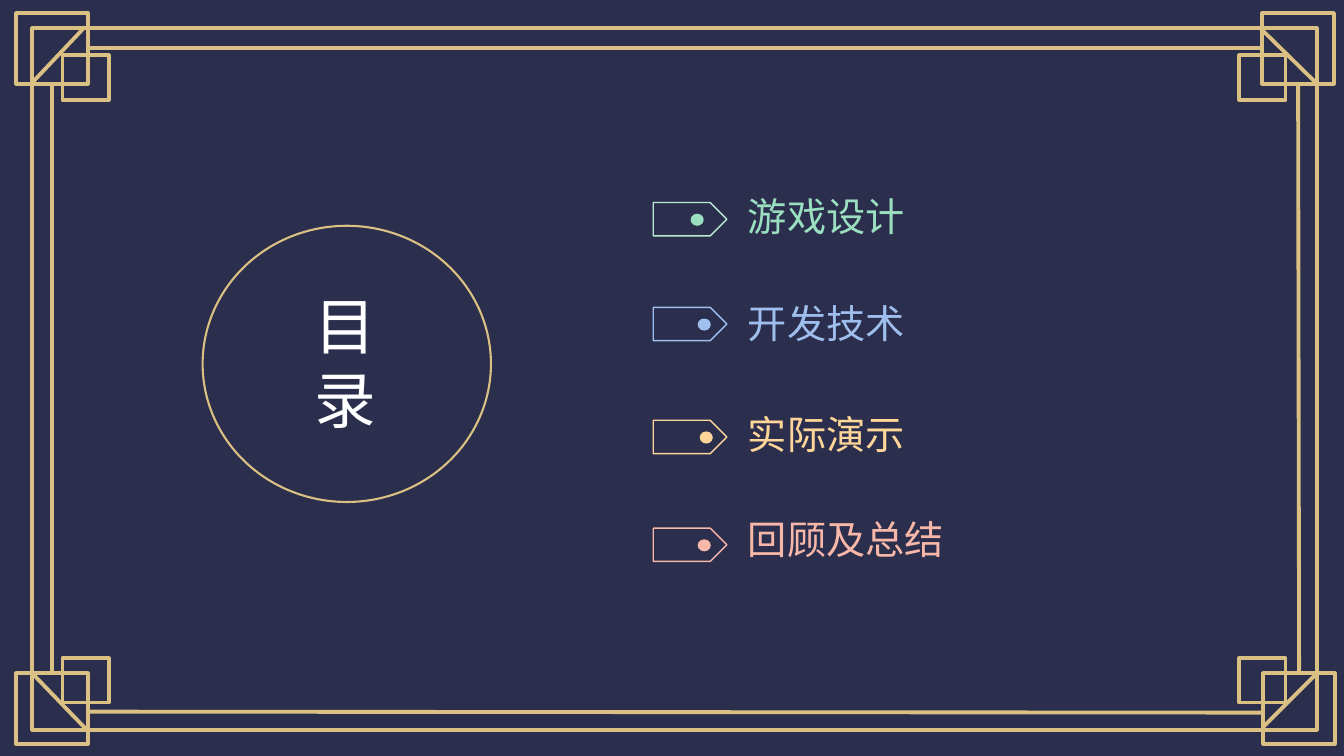
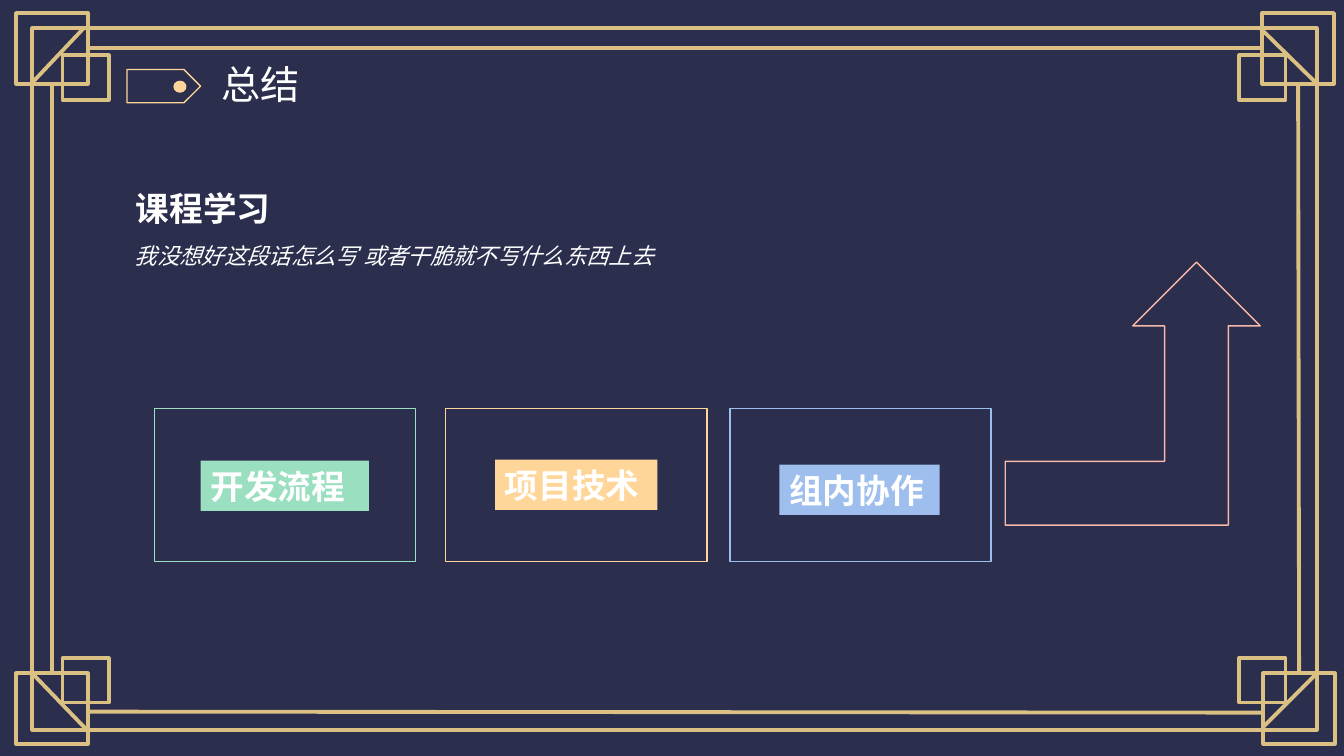
from lxml.etree import SubElement
from pptx import Presentation
from pptx.dml.color import RGBColor
from pptx.enum.shapes import MSO_CONNECTOR, MSO_SHAPE as SHAPE
from pptx.enum.text import MSO_ANCHOR, MSO_AUTO_SIZE as AUTO_SIZE, PP_ALIGN
from pptx.oxml.ns import qn
from pptx.util import Inches, Pt

COLORS = {
    "night": "2B2E4D",
    "gold": "DAC082",
    "white": "FFFFFF",
    "green": "9ADFBF",
    "mint": "BBEAD5",
    "blue": "9EBEED",
    "sky": "A0C0F0",
    "yellow": "FFD699",
    "coral": "F7B8A9",
}
LIGHT_FONT = "Noto Sans CJK JP"
BODY_FONT = "Noto Sans CJK SC"
CONTENTS_TITLE = {"name": LIGHT_FONT, "size": Pt(44), "bold": False}
HEADING = {"name": LIGHT_FONT, "size": Pt(28), "bold": False}
STRONG = {"name": BODY_FONT, "size": Pt(24), "bold": True}
REMARK = {"name": BODY_FONT, "size": Pt(16), "italic": True}
FRAME_WEIGHT = 2.75


def rgb(color):
    return RGBColor.from_string(COLORS[color])


def inches(values):
    return [Inches(value) for value in values]


def write(holder, text, style, color, auto_size=AUTO_SIZE.NONE):
    frame = holder.text_frame
    settings = {"word_wrap": True, "auto_size": auto_size,
                "vertical_anchor": MSO_ANCHOR.TOP}
    for key, value in settings.items():
        setattr(frame, key, value)
    paragraph = frame.paragraphs[0]
    paragraph.alignment = PP_ALIGN.LEFT
    run = paragraph.add_run()
    run.text = text
    for key, value in style.items():
        setattr(run.font, key, value)
    run.font.color.rgb = rgb(color)
    SubElement(run.font._element, qn("a:ea"), typeface=style["name"])


def add_text(slide, box, text, style, color):
    holder = slide.shapes.add_textbox(*inches(box))
    write(holder, text, style, color, AUTO_SIZE.SHAPE_TO_FIT_TEXT)


def set_title(slide, box, text, style):
    title = slide.shapes.title
    for key, value in zip(("left", "top", "width", "height"), inches(box)):
        setattr(title, key, value)
    write(title, text, style, "white")


def add_outline(slide, kind, box, color, weight=1):
    outline = slide.shapes.add_shape(kind, *inches(box))
    outline.shadow.inherit = False
    outline.fill.background()
    outline.line.color.rgb = rgb(color)
    outline.line.width = Pt(weight)
    return outline


def add_solid(slide, kind, box, color):
    solid = slide.shapes.add_shape(kind, *inches(box))
    solid.shadow.inherit = False
    solid.fill.solid()
    solid.fill.fore_color.rgb = rgb(color)
    solid.line.fill.background()
    return solid


def add_line(slide, ends):
    line = slide.shapes.add_connector(MSO_CONNECTOR.STRAIGHT, *inches(ends))
    line.line.color.rgb = rgb("gold")
    line.line.width = Pt(FRAME_WEIGHT)
    SubElement(line._element.spPr, qn("a:effectLst"))
    return line


def add_frame(slide):
    def gold_box(*box):
        return add_outline(slide, SHAPE.RECTANGLE, box, "gold", FRAME_WEIGHT)

    gold_box(0.32, 0.28, 12.74, 6.96)
    top_left, top_right, bottom_left, bottom_right = [
        gold_box(left, top, 0.71, 0.7)
        for left, top in ((0.16, 0.13), (12.52, 0.13), (0.16, 6.68), (12.53, 6.68))
    ]
    for left in (0.62, 12.29):
        for top in (0.55, 6.53):
            gold_box(left, top, 0.46, 0.44)

    rails = (
        ((0.51, 0.83, 0.51, 6.68), top_left, 2, bottom_left, 0),
        ((12.87, 0.83, 12.87, 6.68), top_right, 2, bottom_right, 0),
        ((12.52, 0.48, 0.87, 0.48), top_right, 1, top_left, 3),
    )
    for ends, start, start_side, finish, finish_side in rails:
        rail = add_line(slide, ends)
        rail.begin_connect(start, start_side)
        rail.end_connect(finish, finish_side)

    bottom_rail = (12.53, 7.07, 0.88, 7.06)
    diagonals = (
        (13.06, 6.68, 12.53, 7.21),
        (13.05, 0.82, 12.5, 0.28),
        (0.86, 7.24, 0.32, 6.68),
        (0.32, 0.82, 0.83, 0.28),
    )
    for ends in (bottom_rail, *diagonals):
        add_line(slide, ends)


def add_tag(slide, left, top, dot_offset, line_color, dot_color):
    add_outline(slide, SHAPE.PENTAGON, (left, top, 0.73, 0.33), line_color)
    dot = (left + dot_offset, top + 0.11, 0.13, 0.12)
    add_solid(slide, SHAPE.OVAL, dot, dot_color)


def add_framed_slide(deck):
    slide = deck.slides.add_slide(deck.slide_layouts[5])
    slide.background.fill.solid()
    slide.background.fill.fore_color.rgb = rgb("night")
    add_frame(slide)
    return slide


def build_contents(deck):
    slide = add_framed_slide(deck)
    add_outline(slide, SHAPE.OVAL, (2.01, 2.24, 2.86, 2.74), "gold", 1.5)
    set_title(slide, (3.02, 2.81, 1, 1.58), "目录", CONTENTS_TITLE)
    chapters = (
        ("游戏设计", 1.86, "green", 2.01, 0.37, "mint", "green"),
        ("开发技术", 2.92, "blue", 3.05, 0.44, "sky", "sky"),
        ("实际演示", 4.02, "yellow", 4.17, 0.46, "yellow", "yellow"),
        ("回顾及总结", 5.06, "coral", 5.24, 0.44, "coral", "coral"),
    )
    for text, text_top, color, *tag in chapters:
        add_text(slide, (7.32, text_top, 4.9, 0.57), text, HEADING, color)
        add_tag(slide, 6.48, *tag)


def build_summary(deck):
    slide = add_framed_slide(deck)
    set_title(slide, (2.1, 0.55, 4.9, 0.57), "总结", HEADING)
    add_tag(slide, 1.26, 0.69, 0.46, "yellow", "yellow")
    add_text(slide, (1.25, 1.82, 3.44, 0.5), "课程学习", STRONG, "white")
    add_text(slide, (1.24, 2.35, 7.09, 0.37),
             "我没想好这段话怎么写 或者干脆就不写什么东西上去", REMARK, "white")
    add_outline(slide, SHAPE.BENT_UP_ARROW, (9.97, 2.6, 2.53, 2.61), "coral")
    lessons = (
        ("开发流程", "green", 1.53, (1.99, 4.57, 1.67, 0.5)),
        ("项目技术", "yellow", 4.42, (4.91, 4.56, 1.61, 0.5)),
        ("组内协作", "blue", 7.24, (7.73, 4.61, 1.59, 0.5)),
    )
    for text, color, left, label_box in lessons:
        add_outline(slide, SHAPE.FLOWCHART_PROCESS, (left, 4.05, 2.59, 1.52), color)
        label = add_solid(slide, SHAPE.RECTANGLE, label_box, color)
        write(label, text, STRONG, "white", AUTO_SIZE.SHAPE_TO_FIT_TEXT)


def main():
    deck = Presentation()
    deck.slide_width = Inches(13.33)
    deck.slide_height = Inches(7.5)
    build_contents(deck)
    build_summary(deck)
    deck.save("out.pptx")


if __name__ == "__main__":
    main()
